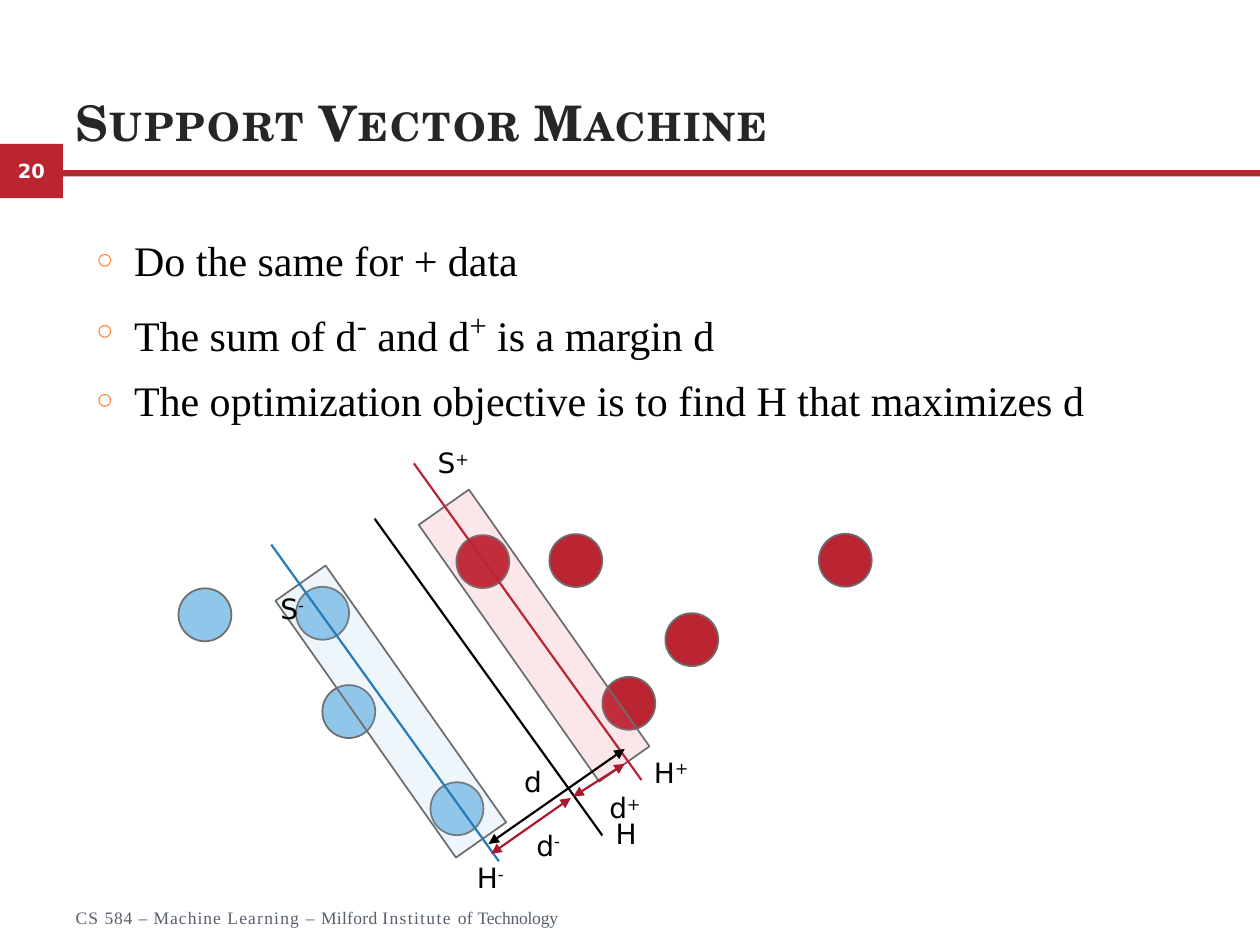
from lxml.etree import SubElement
from pptx import Presentation
from pptx.dml.color import RGBColor
from pptx.enum.shapes import MSO_CONNECTOR, MSO_SHAPE
from pptx.enum.text import MSO_ANCHOR, PP_ALIGN
from pptx.oxml.ns import qn
from pptx.util import Pt

RED = RGBColor(0xBB, 0x25, 0x32)
DARK_RED = RGBColor(0xAB, 0x19, 0x2D)
PINK = RGBColor(0xE7, 0x5B, 0x6E)
BLUE = RGBColor(0x23, 0x7C, 0xB7)
LIGHT_BLUE = RGBColor(0x90, 0xC6, 0xEA)
OUTLINE = RGBColor(0x6D, 0x6D, 0x6D)
TITLE_GRAY = RGBColor(0x26, 0x26, 0x26)
FOOTER_GRAY = RGBColor(0x56, 0x5F, 0x6C)
ORANGE = RGBColor(0xFD, 0x85, 0x37)
BLACK = RGBColor(0, 0, 0)
WHITE = RGBColor(0xFF, 0xFF, 0xFF)

SANS = "DejaVu Sans"
SERIF = "Times New Roman"
DISPLAY = "TeX Gyre Schola"

RAISED = {"baseline": 30000}
BIG_RAISED = {"baseline": 30000, "size": 30}
TITLE = [[("Support Vector Machine", {"spacing": 1.1, "small_caps": True})]]
BULLETS = [
    [("Do the same for + data", {})],
    [("The sum of d", {}), ("-", BIG_RAISED), (" and d", {}),
     ("+", BIG_RAISED), (" is a margin d", {})],
    [("The optimization objective is to find H that maximizes d", {})],
]
FOOTER = [[(words, {"spacing": spacing}) for words, spacing in [
    ("CS ", 0.6), ("584 ", 0.5), ("– Machine ", 0.6), ("Learning ", 0.7),
    ("– ", 0.6), ("Milford ", 0.2), ("Institute ", 0.8), ("of ", 0.2),
    ("Technology", -0.1)]]]

DIAMETER = 30.24
CIRCLES = [
    (LIGHT_BLUE, [(102, 336.2), (184.2, 391.5), (169.2, 335.3), (246, 447)]),
    (RED, [(313.9, 305.2), (344.2, 386.8), (260.8, 305.8), (467.9, 305), (380.2, 350.4)]),
]
BAND_WIDTH, BAND_HEIGHT, BAND_ANGLE = 35.1, 179.4, 324.9
BANDS = [(LIGHT_BLUE, 205.8, 316.9), (PINK, 287.7, 273.5)]
HYPERPLANES = [
    (BLACK, 214.1, 296.4),
    (BLUE, 155, 311.2),
    (RED, 236.5, 264.8),
]
RUN, RISE = 130.1, 181
DISTANCES = [
    (DARK_RED, (280.7, 487.9), (326.2, 456)),
    (DARK_RED, (327.6, 455.2), (357, 436.5)),
    (BLACK, (279.2, 482.3), (357, 428)),
]
LABELS = [
    ("H", "", 357.8, 463),
    ("H", "-", 280.2, 488.2),
    ("d", "-", 313.2, 469.8),
    ("S", "+", 259.1, 251),
    ("d", "+", 357.1, 448.2),
    ("S", "-", 167, 334.4),
    ("H", "+", 383.6, 428),
    ("d", "", 304.6, 433.4),
]
LABEL_WIDTH, LABEL_HEIGHT = 53.3, 25.2


def write(frame, paragraphs, font=SANS, size=16, color=BLACK, bold=False,
          align=PP_ALIGN.LEFT, anchor=MSO_ANCHOR.TOP, insets=(0, 0, 0, 0),
          wrap=True, before=0, line_spacing=None, bullet=None):
    frame.word_wrap = wrap
    frame.vertical_anchor = anchor
    frame.margin_left, frame.margin_top, frame.margin_right, frame.margin_bottom = map(Pt, insets)
    for index, spans in enumerate(paragraphs):
        para = frame.paragraphs[0] if index == 0 else frame.add_paragraph()
        para.alignment = align
        para.space_before = Pt(before)
        if line_spacing:
            para.line_spacing = line_spacing
        if bullet:
            add_bullet(para, bullet)
        for words, style in spans:
            span = para.add_run()
            span.text = words
            span.font.name = font
            span.font.size = Pt(style.get("size", size))
            span.font.bold = bold
            span.font.color.rgb = color
            properties = span.font._element
            if "baseline" in style:
                properties.set("baseline", str(style["baseline"]))
            if "spacing" in style:
                properties.set("spc", str(round(style["spacing"] * 100)))
            if style.get("small_caps"):
                properties.set("cap", "small")


def add_bullet(para, symbol):
    properties = para._p.get_or_add_pPr()
    properties.set("marL", str(Pt(22.6)))
    properties.set("indent", str(Pt(-21.6)))
    color = SubElement(properties, qn("a:buClr"))
    SubElement(color, qn("a:srgbClr"), val=str(ORANGE))
    SubElement(properties, qn("a:buSzPct"), val="69000")
    SubElement(properties, qn("a:buFont"), typeface=SERIF)
    SubElement(properties, qn("a:buChar"), char=symbol)


def add_text(page, left, top, width, height, paragraphs, **style):
    box = page.shapes.add_textbox(Pt(left), Pt(top), Pt(width), Pt(height))
    write(box.text_frame, paragraphs, **style)


def add_shape(page, kind, left, top, width, height, fill, outline=None, opacity=None):
    shape = page.shapes.add_shape(kind, Pt(left), Pt(top), Pt(width), Pt(height))
    shape.shadow.inherit = False
    shape.fill.solid()
    shape.fill.fore_color.rgb = fill
    if opacity:
        color = shape._element.spPr.find(qn("a:solidFill")).find(qn("a:srgbClr"))
        SubElement(color, qn("a:alpha"), val=str(opacity * 1000))
    if outline is None:
        shape.line.fill.background()
    else:
        shape.line.color.rgb = outline
        shape.line.width = Pt(1)
    return shape


def add_line(page, start, end, color, arrows=False):
    line = page.shapes.add_connector(MSO_CONNECTOR.STRAIGHT, *map(Pt, start + end))
    line.line.color.rgb = color
    line.line.width = Pt(1.25)
    if arrows:
        for tag in ("a:headEnd", "a:tailEnd"):
            SubElement(line.line._get_or_add_ln(), qn(tag), type="triangle")
    SubElement(line._element.spPr, qn("a:effectLst"))


def draw_frame(page):
    badge = add_shape(page, MSO_SHAPE.RECTANGLE, 0, 82.3, 36, 31, RED)
    write(badge.text_frame, [[("20", {})]], size=11.1, color=WHITE, bold=True,
          align=PP_ALIGN.CENTER, anchor=MSO_ANCHOR.MIDDLE)
    add_shape(page, MSO_SHAPE.RECTANGLE, 36, 97.2, 684, 3.6, RED)
    add_text(page, 42, 51.8, 678, 34.6, TITLE, font=DISPLAY, size=28, color=TITLE_GRAY,
             bold=True, anchor=MSO_ANCHOR.BOTTOM, insets=(1, 1, 0, 0), before=0.9)
    add_text(page, 42.3, 518.4, 283.7, 14.4, FOOTER, font=SERIF, size=10,
             color=FOOTER_GRAY, insets=(1, 0, 0, 0), wrap=False, before=0.8)
    add_text(page, 54, 127.4, 641.5, 104.4, BULLETS, font=SERIF, size=24,
             insets=(0, 1, 0, 0), before=1, line_spacing=1.2, bullet="○")


def draw_diagram(page):
    for color, corners in CIRCLES:
        for left, top in corners:
            add_shape(page, MSO_SHAPE.OVAL, left, top, DIAMETER, DIAMETER, color, OUTLINE)
    for color, left, top in BANDS:
        band = add_shape(page, MSO_SHAPE.RECTANGLE, left, top, BAND_WIDTH, BAND_HEIGHT,
                         color, OUTLINE, opacity=15)
        band.rotation = BAND_ANGLE
    for color, left, top in HYPERPLANES:
        add_line(page, (left, top), (left + RUN, top + RISE), color)
    for color, start, end in DISTANCES:
        add_line(page, start, end, color, arrows=True)
    for letter, sign, center, top in LABELS:
        spans = [(letter, {})] + ([(sign, RAISED)] if sign else [])
        add_text(page, center - LABEL_WIDTH / 2, top, LABEL_WIDTH, LABEL_HEIGHT, [spans],
                 align=PP_ALIGN.CENTER, insets=(7.2, 3.6, 7.2, 3.6), wrap=False)


def main():
    deck = Presentation()
    deck.slide_width, deck.slide_height = Pt(720), Pt(540)
    page = deck.slides.add_slide(deck.slide_layouts[6])
    draw_frame(page)
    draw_diagram(page)
    deck.save("out.pptx")


if __name__ == "__main__":
    main()
